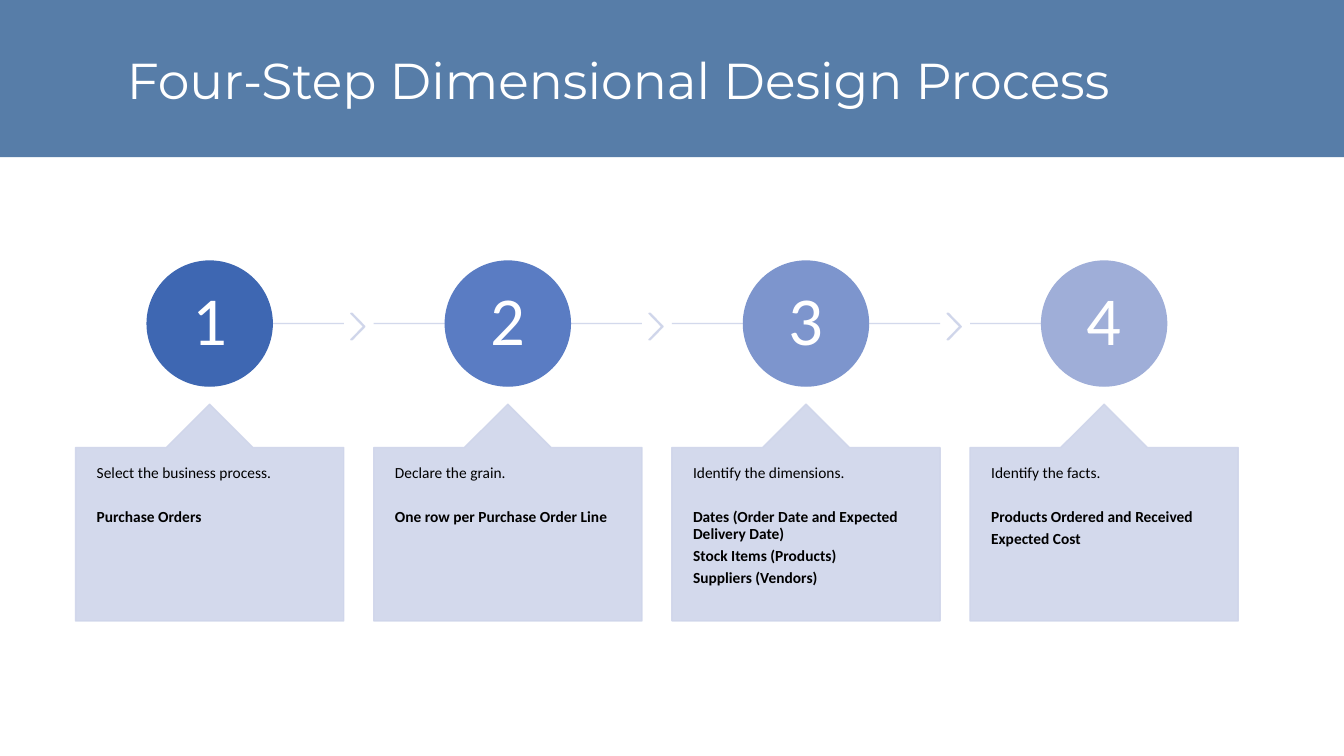
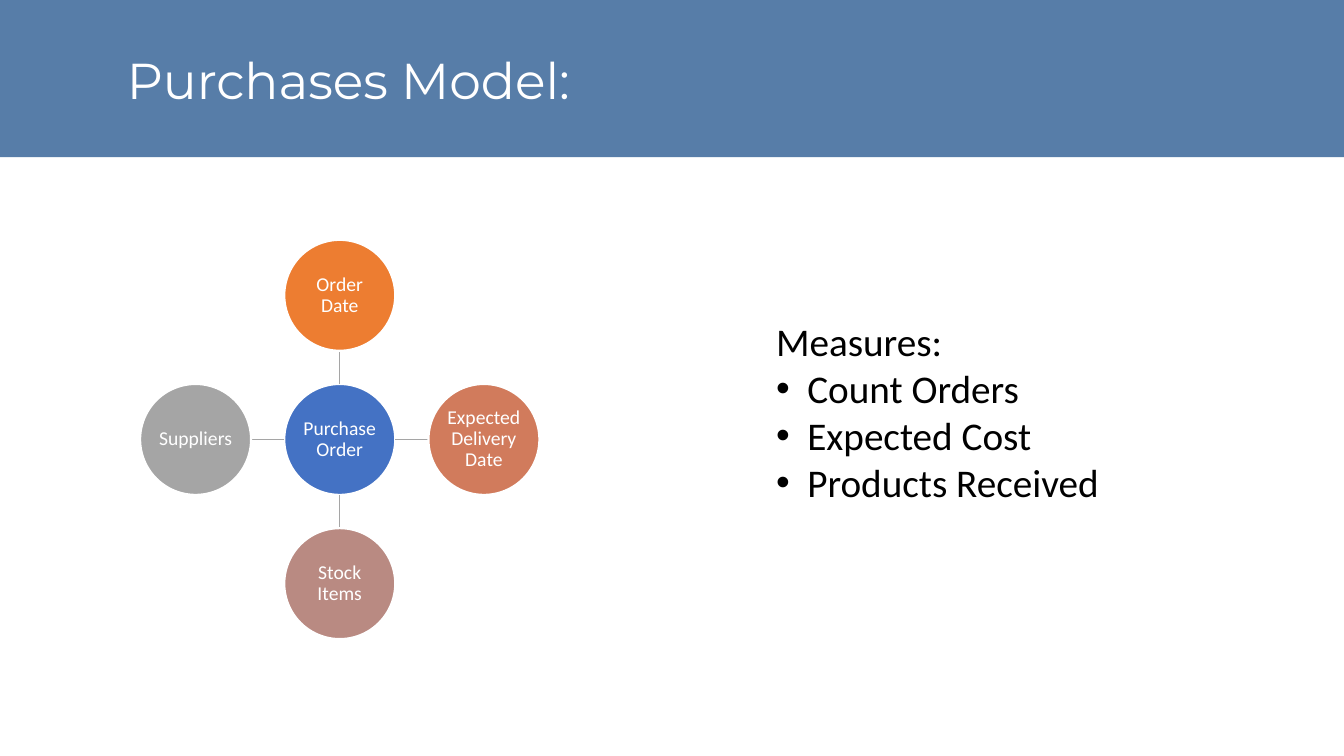
from pptx import Presentation
from pptx.dml.color import RGBColor
from pptx.enum.shapes import MSO_CONNECTOR, MSO_SHAPE
from pptx.enum.text import MSO_ANCHOR, MSO_AUTO_SIZE, PP_ALIGN
from pptx.oxml.ns import qn
from pptx.util import Inches, Pt
from lxml import etree

RECTANGLE = MSO_SHAPE.RECTANGLE
OVAL = MSO_SHAPE.OVAL
CHEVRON = MSO_SHAPE.CHEVRON
CALLOUT = MSO_SHAPE.UP_ARROW_CALLOUT
STRAIGHT = MSO_CONNECTOR.STRAIGHT
TOP, MIDDLE, BOTTOM = MSO_ANCHOR.TOP, MSO_ANCHOR.MIDDLE, MSO_ANCHOR.BOTTOM
LEFT, CENTER = PP_ALIGN.LEFT, PP_ALIGN.CENTER

COLORS = {
    "band": "316094", "white": "FFFFFF", "black": "000000", "pale": "CFD5EA",
    "step1": "3E67B2", "step2": "5A7CC3", "step3": "7D95CD", "step4": "9FAED8",
    "blue": "4472C4", "orange": "ED7D31", "rust": "D17B5C", "rose": "B98A82",
    "gray": "A5A5A5",
}
TITLE_FONT, BODY_FONT = "Montserrat", "Calibri"

STEPS = [
    ("step1", "Select the business process.", ["Purchase Orders"]),
    ("step2", "Declare the grain.", ["One row per Purchase Order Line"]),
    ("step3", "Identify the dimensions.",
     ["Dates (Order Date and Expected Delivery Date)",
      "Stock Items (Products)", "Suppliers (Vendors)"]),
    ("step4", "Identify the facts.",
     ["Products Ordered and Received", "Expected Cost"]),
]
STEP_LEFT, STEP_PITCH, STEP_WIDTH = 0.75, 2.957, 2.66
STEP_AXIS, STEP_CIRCLE = 3.21, 1.24

SPOKES = [
    ("Order Date", "orange", 0, -1),
    ("Expected Delivery Date", "rust", 1, 0),
    ("Stock Items", "rose", 0, 1),
    ("Suppliers", "gray", -1, 0),
]
HUB_X, HUB_Y, HUB_CIRCLE, SPOKE_LENGTH = 3.37, 4.36, 1.1, 1.43
MEASURES = ["Count Orders", "Expected Cost", "Products Received"]


def rgb(name):
    """Return the named color."""
    return RGBColor.from_string(COLORS[name])


def set_opacity(shape, percent):
    """Make the fill and line of a shape partly transparent."""
    for color in shape._element.spPr.iter(qn("a:srgbClr")):
        etree.SubElement(color, qn("a:alpha"), val=str(percent * 1000))


def add_shape(page, kind, left, top, width, height, fill, line=None,
              weight=1, opacity=100):
    """Add a flat preset shape."""
    shape = page.shapes.add_shape(
        kind, Inches(left), Inches(top), Inches(width), Inches(height))
    shape.shadow.inherit = False
    shape.fill.solid()
    shape.fill.fore_color.rgb = rgb(fill)
    if line:
        shape.line.color.rgb = rgb(line)
        shape.line.width = Pt(weight)
    else:
        shape.line.fill.background()
    if opacity < 100:
        set_opacity(shape, opacity)
    return shape


def add_line(page, x1, y1, x2, y2, color, opacity=100):
    """Add a thin straight line."""
    line = page.shapes.add_connector(
        STRAIGHT, Inches(x1), Inches(y1), Inches(x2), Inches(y2))
    line.line.color.rgb = rgb(color)
    line.line.width = Pt(1)
    etree.SubElement(line._element.spPr, qn("a:effectLst"))
    if opacity < 100:
        set_opacity(line, opacity)


def set_frame(box, anchor, side=0.1, end=0.05):
    """Set wrapping, anchor and insets, and return the text frame."""
    frame = box.text_frame
    frame.word_wrap = True
    frame.vertical_anchor = anchor
    frame.margin_left = frame.margin_right = Inches(side)
    frame.margin_top = frame.margin_bottom = Inches(end)
    return frame


def add_text_box(page, left, top, width, height, anchor=TOP):
    """Add a wrapping text box and return its frame."""
    box = page.shapes.add_textbox(
        Inches(left), Inches(top), Inches(width), Inches(height))
    return set_frame(box, anchor)


def add_para(frame, text, size, color="black", font=BODY_FONT, bold=False,
             align=LEFT, spacing=1.0, bullet=False):
    """Fill the empty first paragraph or append another one."""
    para = frame.paragraphs[0]
    if para.runs:
        para = frame.add_paragraph()
    para.alignment = align
    para.line_spacing = spacing
    if bullet:
        properties = para._p.get_or_add_pPr()
        properties.set("marL", str(Inches(0.31)))
        properties.set("indent", str(-Inches(0.31)))
        etree.SubElement(properties, qn("a:buFont"), typeface="Arial")
        etree.SubElement(properties, qn("a:buChar"), char="•")
    span = para.add_run()
    span.text = text
    span.font.name = font
    span.font.size = Pt(size)
    span.font.bold = bold
    span.font.color.rgb = rgb(color)
    return para


def add_circle(page, x, y, diameter, fill, line, weight, text, size, inset):
    """Add a labelled circle centered on a point."""
    circle = add_shape(page, OVAL, x - diameter / 2, y - diameter / 2,
                       diameter, diameter, fill, line, weight)
    frame = set_frame(circle, MIDDLE, inset, inset)
    add_para(frame, text, size, "white", align=CENTER, spacing=0.9)


def add_page(deck, title):
    """Add a blank page with the title band."""
    page = deck.slides.add_slide(deck.slide_layouts[6])
    add_shape(page, RECTANGLE, 0, 0, 13.33, 1.56, "band", opacity=81)
    frame = add_text_box(page, 1.16, 0.32, 10.74, 0.82, BOTTOM)
    add_para(frame, title, 36, "white", TITLE_FONT, spacing=1.5)
    return page


def add_step(page, index, color, heading, details):
    """Add one numbered step with its links and callout."""
    left = STEP_LEFT + index * STEP_PITCH
    right = left + STEP_WIDTH
    center = left + STEP_WIDTH / 2
    first, last = index == 0, index == len(STEPS) - 1
    add_line(page, center if first else left, STEP_AXIS,
             center if last else right, STEP_AXIS, "pale", 90)
    if not last:
        chevron = add_shape(page, CHEVRON, right + 0.07, 3.11, 0.14, 0.26,
                            "pale", "pale", opacity=90)
        chevron.adjustments[0] = 0.9
    add_circle(page, center, STEP_AXIS, STEP_CIRCLE, color, color, 1,
               str(index + 1), 49, 0.05)
    callout = add_shape(page, CALLOUT, left, 4.01, STEP_WIDTH, 2.15,
                        "pale", "pale", opacity=90)
    for position, value in enumerate((0.5, 0.2, 0.2, 1)):
        callout.adjustments[position] = value
    frame = set_frame(callout, TOP, 0.21, 0.18)
    add_para(frame, heading, 11, spacing=0.9)
    for position, detail in enumerate(details):
        para = add_para(frame, detail, 11, bold=True, spacing=0.9)
        para.space_before = Pt(3.85 if position else 19.5)


def add_hub(page):
    """Add the fact circle with its dimensions around it."""
    radius = HUB_CIRCLE / 2
    reach = SPOKE_LENGTH - radius
    add_circle(page, HUB_X, HUB_Y, HUB_CIRCLE, "blue", "white", 1.5,
               "Purchase Order", 14, 0.01)
    for text, color, dx, dy in SPOKES:
        add_line(page, HUB_X + dx * radius, HUB_Y + dy * radius,
                 HUB_X + dx * reach, HUB_Y + dy * reach, "gray")
        add_circle(page, HUB_X + dx * SPOKE_LENGTH, HUB_Y + dy * SPOKE_LENGTH,
                   HUB_CIRCLE, color, "white", 1.5, text, 14, 0.01)


def add_measures(page):
    """Add the bulleted list of measures."""
    frame = add_text_box(page, 7.6, 3.1, 3.6, 1.99)
    frame.auto_size = MSO_AUTO_SIZE.SHAPE_TO_FIT_TEXT
    add_para(frame, "Measures:", 28)
    for measure in MEASURES:
        add_para(frame, measure, 28, bullet=True)


def main():
    """Build and save the deck."""
    deck = Presentation()
    deck.slide_width, deck.slide_height = Inches(13.33), Inches(7.5)
    page = add_page(deck, "Four-Step Dimensional Design Process")
    for index, step in enumerate(STEPS):
        add_step(page, index, *step)
    page = add_page(deck, "Purchases Model:")
    add_hub(page)
    add_measures(page)
    deck.save("out.pptx")


if __name__ == "__main__":
    main()
